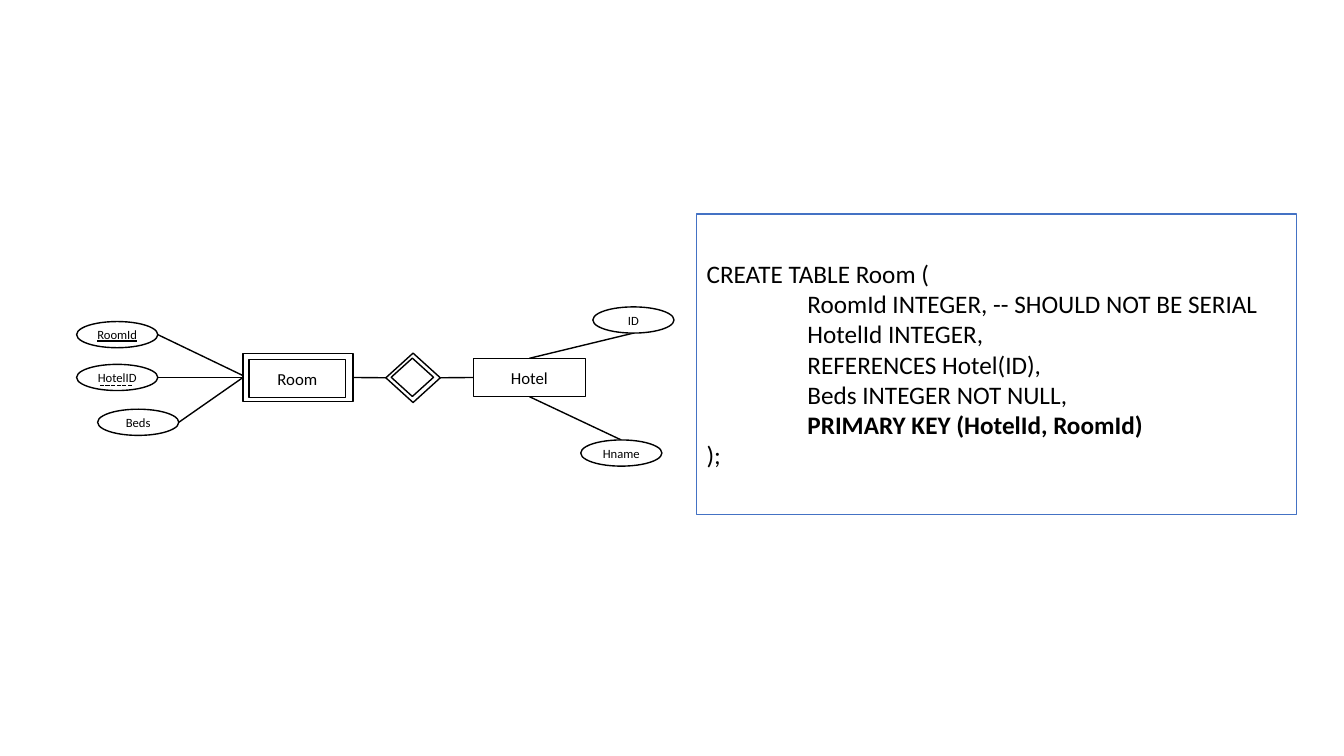
from pptx import Presentation
from pptx.dml.color import RGBColor
from pptx.enum.dml import MSO_LINE
from pptx.enum.shapes import MSO_CONNECTOR, MSO_SHAPE
from pptx.enum.text import MSO_ANCHOR, PP_ALIGN
from pptx.oxml.ns import qn
from pptx.util import Inches, Pt
from lxml.etree import SubElement

BLACK, WHITE, BLUE = "000000", "FFFFFF", "4472C4"
OVAL = (8.05, 2.6)

# Left, top, width and height in grid cells of a tenth of an inch
ROOM_ID = (7.6, 31.9, *OVAL)
HOTEL_ID = (7.6, 36.15, *OVAL)
BEDS = (9.68, 40.6, *OVAL)
ID = (58.8, 30.45, *OVAL)
HNAME = (57.6, 43.65, *OVAL)
ROOM_FRAME = (24.1, 35.05, 10.9, 4.8)
ROOM = (24.7, 35.65, 9.6, 3.8)
RELATION_FRAME = (38.27, 35.03, 5.4, 4.9)
RELATION = (38.8, 35.53, 4.2, 3.8)
HOTEL = (46.95, 35.55, 11.1, 3.8)
CODE = (69.1, 21.22, 59.47, 29.8)

CODE_LINES = [
    "CREATE TABLE Room (",
    "\tRoomId INTEGER, -- SHOULD NOT BE SERIAL",
    "\tHotelId INTEGER,",
    "\tREFERENCES Hotel(ID),",
    "\tBeds INTEGER NOT NULL,",
    "\tPRIMARY KEY (HotelId, RoomId)",
    ");",
]


def cells(count):
    return Inches(count / 10)


def color(value):
    return RGBColor.from_string(value)


def side(place, across, down):
    """Point at the given shares of a place's width and height."""
    left, top, width, height = place
    return left + across * width, top + down * height


def add_line(page, start, end, dash=None):
    line = page.shapes.add_connector(
        MSO_CONNECTOR.STRAIGHT, *(cells(value) for value in (*start, *end)))
    line.line.color.rgb = color(BLACK)
    line.line.width = Pt(1)
    if dash:
        line.line.dash_style = dash
    SubElement(line._element.spPr, qn("a:effectLst"))


def add_outline(page, kind, place, outline=BLACK):
    shape = page.shapes.add_shape(kind, *(cells(value) for value in place))
    shape.shadow.inherit = False
    shape.fill.solid()
    shape.fill.fore_color.rgb = color(WHITE)
    shape.line.color.rgb = color(outline)
    shape.line.width = Pt(1)
    return shape


def add_span(para, text, size, bold=False, underline=False):
    span = para.add_run()
    span.text = text
    font = span.font
    font.name, font.size, font.bold = "Calibri", Pt(size), bold
    font.underline = underline
    font.color.rgb = color(BLACK)


def add_label(page, kind, place, text, size, underline=False):
    frame = add_outline(page, kind, place).text_frame
    frame.word_wrap = False
    frame.vertical_anchor = MSO_ANCHOR.MIDDLE
    para = frame.paragraphs[0]
    para.alignment = PP_ALIGN.CENTER
    add_span(para, text, size, underline=underline)


def set_tab_stop(para, position):
    stops = SubElement(para._p.get_or_add_pPr(), qn("a:tabLst"))
    SubElement(stops, qn("a:tab"), pos=str(position), algn="l")


def add_code(page, place, lines):
    frame = add_outline(page, MSO_SHAPE.RECTANGLE, place, BLUE).text_frame
    frame.word_wrap = True
    frame.vertical_anchor = MSO_ANCHOR.MIDDLE
    for index, text in enumerate(lines):
        para = frame.add_paragraph() if index else frame.paragraphs[0]
        para.alignment = PP_ALIGN.LEFT
        set_tab_stop(para, Inches(1))
        add_span(para, text, 18, bold="PRIMARY KEY" in text)


def main():
    deck = Presentation()
    deck.slide_width, deck.slide_height = Inches(13.33), Inches(7.5)
    page = deck.slides.add_slide(deck.slide_layouts[6])

    room_left = side(ROOM_FRAME, 0, 0.5)
    links = [
        (side(ROOM, 0, 0.5), side(ROOM_ID, 1, 0.5)),
        (room_left, side(HOTEL_ID, 1, 0.5)),
        (room_left, side(BEDS, 1, 0.5)),
        (side(ROOM_FRAME, 1, 0.5), side(RELATION_FRAME, 0, 0.5)),
        (side(RELATION_FRAME, 1, 0.5), side(HOTEL, 0, 0.5)),
        (side(HOTEL, 0.5, 0), side(ID, 0.5, 1)),
        (side(HOTEL, 0.5, 1), side(HNAME, 0.5, 0)),
    ]
    for start, end in links:
        add_line(page, start, end)

    add_outline(page, MSO_SHAPE.RECTANGLE, ROOM_FRAME)
    for place in (RELATION_FRAME, RELATION):
        add_outline(page, MSO_SHAPE.DIAMOND, place)
    for place, name in ((ROOM, "Room"), (HOTEL, "Hotel")):
        add_label(page, MSO_SHAPE.RECTANGLE, place, name, 12)

    attributes = [(ROOM_ID, "RoomId"), (HOTEL_ID, "HotelID"), (BEDS, "Beds"),
                  (ID, "ID"), (HNAME, "Hname")]
    for place, name in attributes:
        add_label(page, MSO_SHAPE.OVAL, place, name, 9, name == "RoomId")
    add_line(page, side(HOTEL_ID, 0.68, 0.81), side(HOTEL_ID, 0.27, 0.81),
             MSO_LINE.SQUARE_DOT)

    add_code(page, CODE, CODE_LINES)
    deck.save("out.pptx")


if __name__ == "__main__":
    main()
